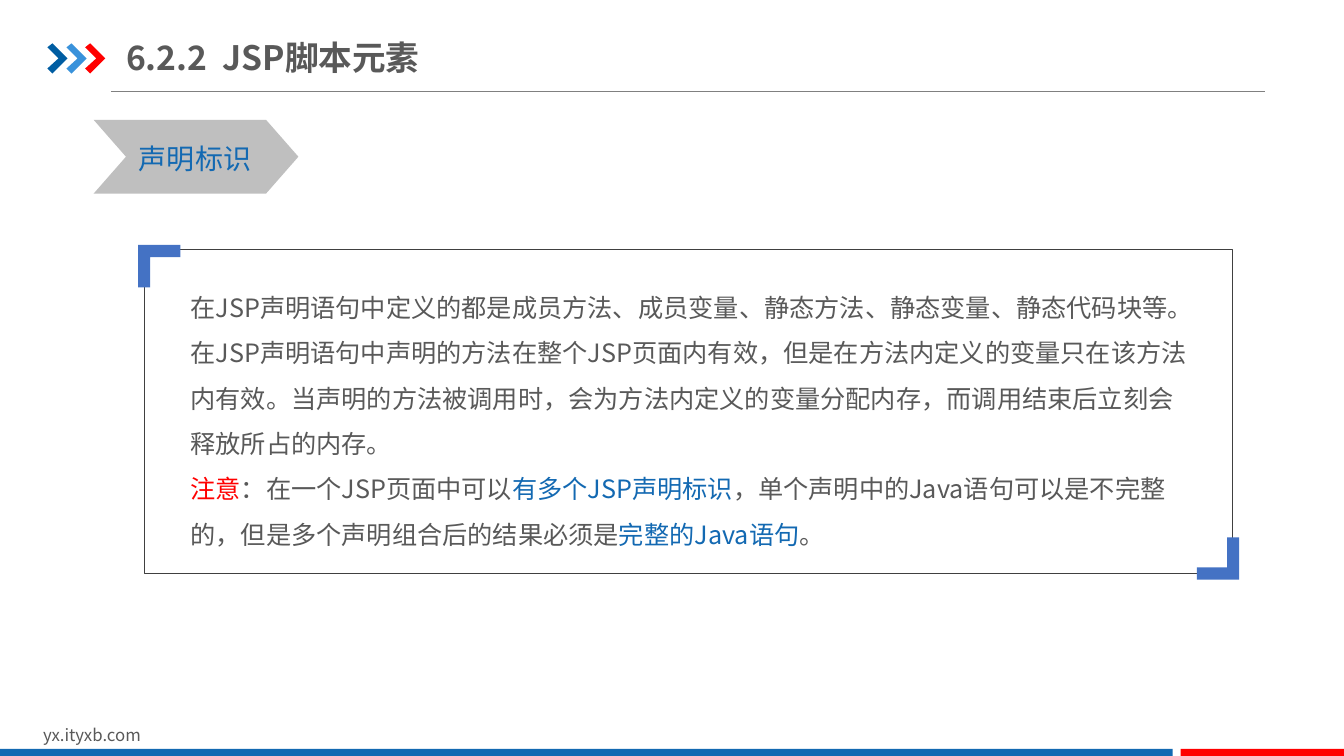
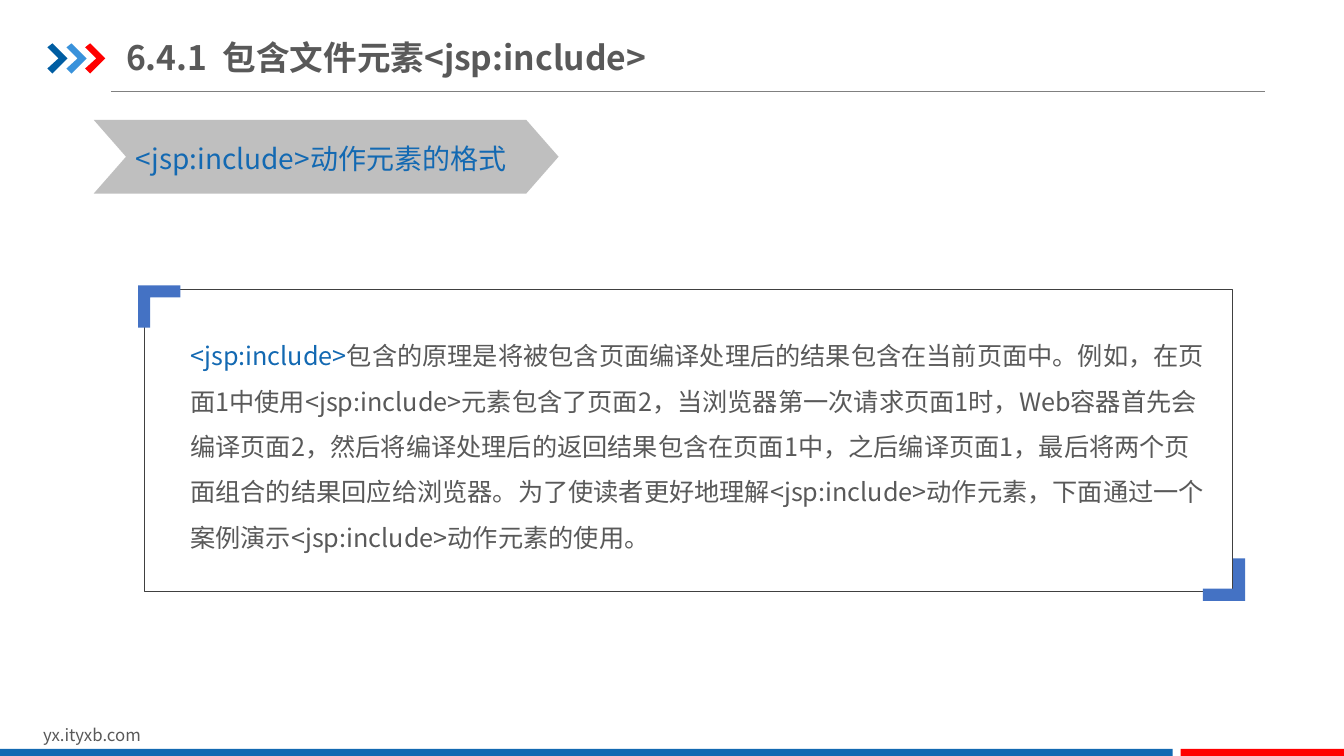
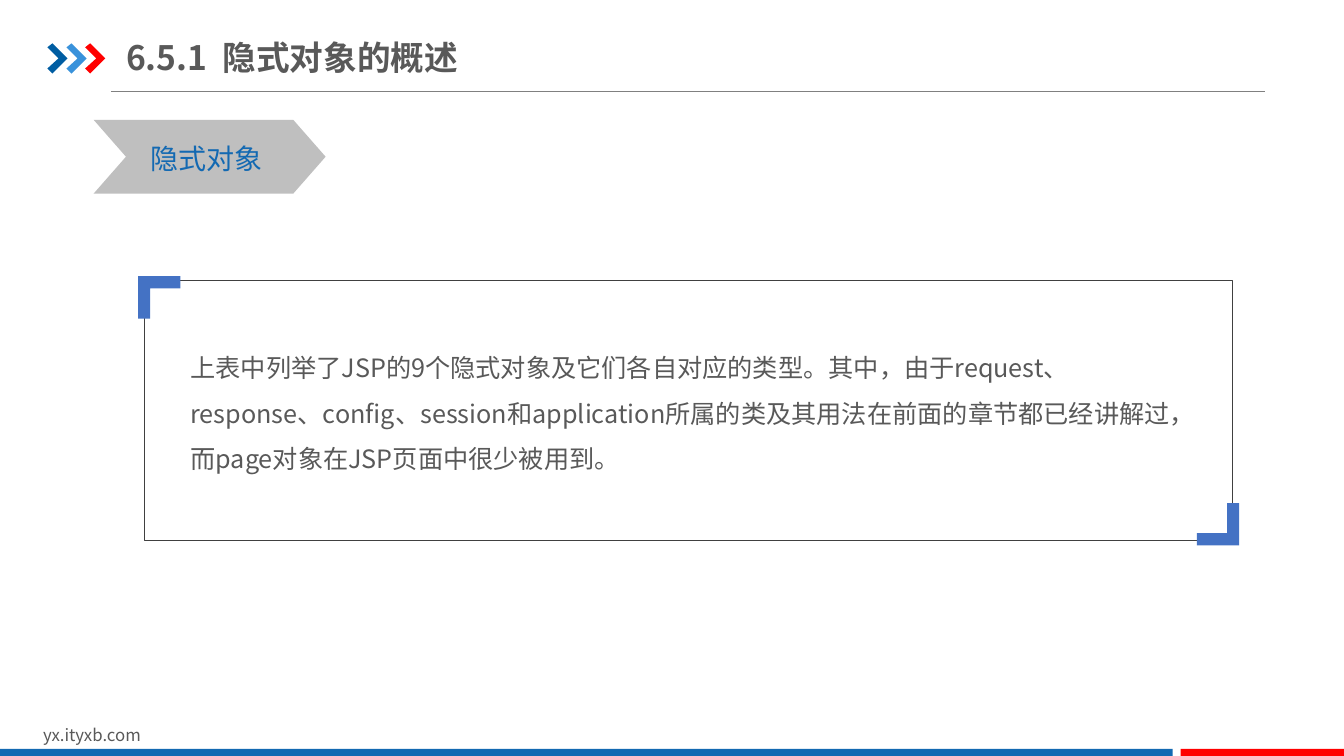
from dataclasses import dataclass

from lxml import etree
from pptx import Presentation
from pptx.dml.color import RGBColor
from pptx.enum import lang, shapes, text
from pptx.oxml.ns import qn
from pptx.util import Inches, Pt


@dataclass(frozen=True)
class Theme:
    font: str = "Noto Sans CJK SC"
    ink: str = "595959"
    blue: str = "1369B2"
    red: str = "FF0000"
    navy: str = "005DA2"
    sky: str = "3992DB"
    tag: str = "BFBFBF"
    corner: str = "4472C4"
    frame: str = "404040"
    rule: str = "808080"
    title_size: int = 24
    tag_size: int = 20
    body_size: int = 18
    footer_size: int = 12


THEME = Theme()
INK, BLUE, RED = THEME.ink, THEME.blue, THEME.red

FOOTER = "yx.ityxb.com"
BARS = [(0, 11.63, BLUE), (11.71, 1.63, RED)]
ARROWS = [(0.47, THEME.navy), (0.66, THEME.sky), (0.845, RED)]
ARROW_POINTS = [(0, 0.04), (0.05, 0), (0.2, 0.15), (0.05, 0.3), (0, 0.25), (0.11, 0.15)]
CORNER_SIZE, CORNER_BAR = 0.42, 0.12
CORNER_POINTS = [(0, 0), (CORNER_SIZE, 0), (CORNER_SIZE, CORNER_BAR),
                 (CORNER_BAR, CORNER_BAR), (CORNER_BAR, CORNER_SIZE), (0, CORNER_SIZE)]
FRAME_LEFT, FRAME_WIDTH = 1.43, 10.79
BODY_LEFT = 1.79

# Boxes are (left, top, width, height); a paragraph is a list of (text, colour).
PAGES = [
    dict(
        title="6.2.2  JSP脚本元素", title_width=3.13,
        tag="声明标识", tag_width=2.03, tag_text=(1.28, 1.32),
        frame=(2.47, 3.22), corner_end=(12.29, 5.75), body=(2.7, 10.08, 2.81),
        paras=[
            [("在JSP声明语句中定义的都是成员方法、成员变量、静态方法、静态变量、静态代码块等。"
              "在JSP声明语句中声明的方法在整个JSP页面内有效，但是在方法内定义的变量只在该方法内有效。"
              "当声明的方法被调用时，会为方法内定义的变量分配内存，而调用结束后立刻会释放所占的内存。", INK)],
            [("注意", RED), ("：在一个JSP页面中可以", INK), ("有多个JSP声明标识", BLUE),
             ("，单个声明中的Java语句可以是不完整的，但是多个声明组合后的结果必须是", INK),
             ("完整的Java语句", BLUE), ("。", INK)],
        ],
    ),
    dict(
        title="6.4.1  包含文件元素<jsp:include>", title_width=5.94,
        tag="<jsp:include>动作元素的格式", tag_width=4.61, tag_text=(1.25, 4.01),
        frame=(2.87, 3), corner_end=(12.35, 5.96), body=(3.18, 10.26, 2.48),
        paras=[
            [("<jsp:include>", BLUE),
             ("包含的原理是将被包含页面编译处理后的结果包含在当前页面中。例如，"
              "在页面1中使用<jsp:include>元素包含了页面2，当浏览器第一次请求页面1时，"
              "Web容器首先会编译页面2，然后将编译处理后的返回结果包含在页面1中，之后编译页面1，"
              "最后将两个页面组合的结果回应给浏览器。为了使读者更好地理解<jsp:include>动作元素，"
              "下面通过一个案例演示<jsp:include>动作元素的使用。", INK)],
        ],
    ),
    dict(
        title="6.5.1  隐式对象的概述", title_width=3.54,
        tag="隐式对象", tag_width=2.3, tag_text=(1.39, 1.32),
        frame=(2.78, 2.58), corner_end=(12.29, 5.41), body=(3.3, 10.08, 1.45),
        paras=[
            [("上表中列举了JSP的9个隐式对象及它们各自对应的类型。其中，"
              "由于request、response、config、session和application所属的类及其用法在前面的章节都已经讲解过，"
              "而page对象在JSP页面中很少被用到。", INK)],
        ],
    ),
]


def style_span(span, size, colour, bold=False):
    font = span.font
    font.size, font.bold, font.name = Pt(size), bold, THEME.font
    font.color.rgb = RGBColor.from_string(colour)
    font.language_id = lang.MSO_LANGUAGE_ID.SIMPLIFIED_CHINESE
    etree.SubElement(span._r.get_or_add_rPr(), qn("a:ea"), typeface=THEME.font)


def paint(shape, colour):
    shape.shadow.inherit = False
    shape.fill.solid()
    shape.fill.fore_color.rgb = RGBColor.from_string(colour)
    shape.line.fill.background()
    return shape


def add_block(page, kind, place, colour):
    return paint(page.shapes.add_shape(kind, *map(Inches, place)), colour)


def add_outline(page, left, top, points, colour, direction=1):
    """Fill a closed outline; direction -1 turns it by half a circle."""
    spots = [(Inches(left + direction * x), Inches(top + direction * y)) for x, y in points]
    builder = page.shapes.build_freeform(*spots[0], scale=1.0)
    builder.add_line_segments(spots[1:], close=True)
    return paint(builder.convert_to_shape(), colour)


def add_text(page, place, paras, size, wrap=True, spacing=None):
    box = page.shapes.add_textbox(*map(Inches, place))
    frame = box.text_frame
    frame.word_wrap = wrap
    for index, spans in enumerate(paras):
        para = frame.paragraphs[0] if index == 0 else frame.add_paragraph()
        if spacing:
            para.line_spacing = spacing
        for words, colour in spans:
            span = para.add_run()
            span.text = words
            style_span(span, size, colour)
    return box


def add_rule(page):
    y = Inches(0.91)
    rule = page.shapes.add_connector(shapes.MSO_CONNECTOR.STRAIGHT, Inches(1.1), y, Inches(12.55), y)
    rule.line.color.rgb = RGBColor.from_string(THEME.rule)
    rule.line.width = Pt(0.5)
    etree.SubElement(rule._element.spPr, qn("a:effectLst"))
    return rule


def furnish_layout(layout, page):
    """Draw the shared parts on a page, then move them to its layout."""
    parts = [add_rule(page)]
    parts += [add_outline(page, left, 0.43, ARROW_POINTS, colour) for left, colour in ARROWS]
    parts.append(add_text(page, (0.33, 7.14, 3.18, 0.3), [[(FOOTER, INK)]], THEME.footer_size))
    parts += [add_block(page, shapes.MSO_SHAPE.RECTANGLE, (left, 7.43, width, 0.09), colour)
              for left, width, colour in BARS]
    for part in parts:
        layout.shapes.element.append(part.element)


def set_title(page, words, width):
    title = page.shapes.title
    title.left, title.top, title.width, title.height = map(Inches, (1.25, 0.29, width, 0.55))
    frame = title.text_frame
    frame.text = words
    frame.word_wrap, frame.auto_size = True, text.MSO_AUTO_SIZE.NONE
    frame.vertical_anchor = text.MSO_ANCHOR.MIDDLE
    frame.margin_left = frame.margin_right = 0
    frame.margin_top = frame.margin_bottom = Inches(0.07)
    para = frame.paragraphs[0]
    para.alignment = text.PP_ALIGN.LEFT
    style_span(para.runs[0], THEME.title_size, INK, bold=True)


def add_tag(page, words, width, text_place):
    chevron = add_block(page, shapes.MSO_SHAPE.CHEVRON, (0.93, 1.19, width, 0.73), THEME.tag)
    chevron.adjustments[0] = 0.438
    left, text_width = text_place
    add_text(page, (left, 1.35, text_width, 0.44), [[(words, BLUE)]], THEME.tag_size, wrap=False)


def add_frame(page, top, height, corner_end):
    place = FRAME_LEFT, top, FRAME_WIDTH, height
    frame = page.shapes.add_shape(shapes.MSO_SHAPE.RECTANGLE, *map(Inches, place))
    frame.shadow.inherit = False
    frame.fill.background()
    frame.line.color.rgb = RGBColor.from_string(THEME.frame)
    frame.line.width = Pt(0.25)
    add_outline(page, FRAME_LEFT - 0.06, top - 0.04, CORNER_POINTS, THEME.corner)
    add_outline(page, *corner_end, CORNER_POINTS, THEME.corner, direction=-1)


def main():
    deck = Presentation()
    deck.slide_width, deck.slide_height = Inches(13.33), Inches(7.5)
    layout = deck.slide_layouts.get_by_name("Title Only")
    for index, content in enumerate(PAGES):
        page = deck.slides.add_slide(layout)
        if index == 0:
            furnish_layout(layout, page)
        set_title(page, content["title"], content["title_width"])
        add_tag(page, content["tag"], content["tag_width"], content["tag_text"])
        add_frame(page, *content["frame"], content["corner_end"])
        add_text(page, (BODY_LEFT, *content["body"]), content["paras"], THEME.body_size, spacing=1.5)
    deck.save("out.pptx")


if __name__ == "__main__":
    main()
